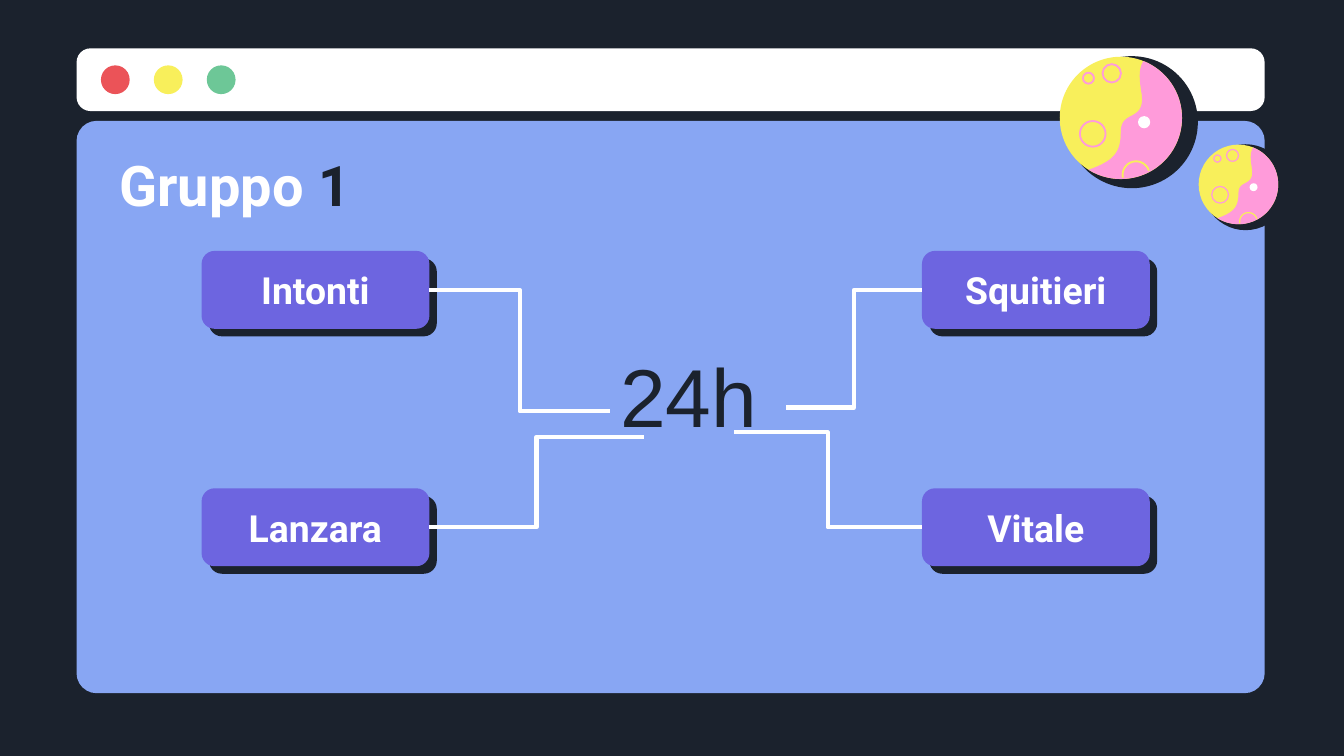
from dataclasses import dataclass
from math import cos, radians, sin

from lxml.etree import SubElement
from pptx import Presentation
from pptx.dml.color import RGBColor
from pptx.enum.shapes import MSO_CONNECTOR, MSO_SHAPE
from pptx.enum.text import MSO_ANCHOR, PP_ALIGN
from pptx.oxml.ns import qn
from pptx.util import Inches, Pt

ROUNDED = MSO_SHAPE.ROUNDED_RECTANGLE
OVAL = MSO_SHAPE.OVAL
ELBOW = MSO_CONNECTOR.ELBOW
MIDDLE = MSO_ANCHOR.MIDDLE
LEFT, CENTER = PP_ALIGN.LEFT, PP_ALIGN.CENTER

WIDTH = Inches(10)
HEIGHT = WIDTH * 9 // 16

Point = tuple[float, float]


@dataclass(frozen=True)
class Theme:
    dark: str = "1B222D"
    panel: str = "88A6F3"
    card: str = "6D65E0"
    white: str = "FFFFFF"
    red: str = "EB5358"
    yellow: str = "F8EF5B"
    green: str = "6DC797"
    pink: str = "FF9BDA"
    heading_font: str = "Roboto"
    body_font: str = "Arial"
    title_size: int = 30
    card_size: int = 20
    center_size: int = 44
    link_width: float = 2.25


@dataclass(frozen=True)
class Area:
    left: float
    top: float
    width: float
    height: float

    def emu(self) -> tuple[int, int, int, int]:
        return across(self.left), down(self.top), across(self.width), down(self.height)


@dataclass(frozen=True)
class Member:
    name: str
    column: int
    row: int
    link_end: Point


@dataclass(frozen=True)
class Planet:
    x: float
    y: float
    radius: float

    def place(self, point: Point) -> tuple[int, int]:
        size = across(self.radius)
        return across(self.x) + int(point[0] * size), down(self.y) + int(point[1] * size)


@dataclass(frozen=True)
class Disc:
    center: Point
    radius: float
    color: str
    ring: bool = False


def across(percent: float) -> int:
    return int(WIDTH * percent / 100)


def down(percent: float) -> int:
    return int(HEIGHT * percent / 100)


def rgb(color: str) -> RGBColor:
    return RGBColor.from_string(color)


def paint(shape, color: str) -> None:
    shape.shadow.inherit = False
    shape.fill.solid()
    shape.fill.fore_color.rgb = rgb(color)
    shape.line.fill.background()


def outline(shape, color: str, width: int) -> None:
    shape.shadow.inherit = False
    shape.fill.background()
    shape.line.color.rgb = rgb(color)
    shape.line.width = width


def add_panel(page, area: Area, color: str, rounding: float):
    shape = page.shapes.add_shape(ROUNDED, *area.emu())
    shape.adjustments[0] = rounding
    paint(shape, color)
    return shape


def add_circle(page, x: int, y: int, radius: int):
    return page.shapes.add_shape(OVAL, x - radius, y - radius, 2 * radius, 2 * radius)


def write(box, spans: list[tuple[str, str]], font: str, size: int, align, bold: bool) -> None:
    frame = box.text_frame
    frame.word_wrap = True
    frame.vertical_anchor = MIDDLE
    frame.margin_left = frame.margin_right = Inches(0.1)
    frame.margin_top = frame.margin_bottom = Inches(0.1)
    para = frame.paragraphs[0]
    para.alignment = align
    for text, color in spans:
        span = para.add_run()
        span.text = text
        span.font.name = font
        span.font.size = Pt(size)
        span.font.bold = bold
        span.font.color.rgb = rgb(color)


def arc(center: Point, radius: float, start: int, stop: int, steps: int = 40) -> list[Point]:
    angles = [radians(start + (stop - start) * step / steps) for step in range(steps + 1)]
    return [(center[0] + radius * cos(a), center[1] + radius * sin(a)) for a in angles]


def curve(points: list[Point], steps: int = 16) -> list[Point]:
    found = []
    for first in range(0, len(points) - 3, 3):
        a, b, c, d = points[first:first + 4]
        for step in range(1, steps + 1):
            t = step / steps
            u = 1 - t
            weights = (u ** 3, 3 * u * u * t, 3 * u * t * t, t ** 3)
            found.append(tuple(sum(w * p[axis] for w, p in zip(weights, (a, b, c, d)))
                               for axis in (0, 1)))
    return found


def add_path(page, planet: Planet, points: list[Point], close: bool):
    places = [planet.place(point) for point in points]
    builder = page.shapes.build_freeform(*places[0])
    builder.add_line_segments(places[1:], close=close)
    return builder.convert_to_shape()


def add_disc(page, planet: Planet, disc: Disc) -> None:
    size = across(planet.radius)
    shape = add_circle(page, *planet.place(disc.center), int(disc.radius * size))
    if disc.ring:
        outline(shape, disc.color, int(size * RING_WIDTH))
    else:
        paint(shape, disc.color)


def add_planet(page, planet: Planet) -> None:
    for disc in GROUND:
        add_disc(page, planet, disc)
    paint(add_path(page, planet, arc((0, 0), 1, -68, 122) + curve(SHORE), True), THEME.pink)
    rim = add_path(page, planet, arc((0.25, 0.93), 0.22, 168, 342), False)
    outline(rim, THEME.yellow, int(across(planet.radius) * RING_WIDTH))
    add_disc(page, planet, Disc((0.38, 0.07), 0.1, THEME.white))


def add_link(page, start: Point, end: Point) -> None:
    link = page.shapes.add_connector(
        ELBOW, across(start[0]), down(start[1]), across(end[0]), down(end[1]))
    link.line.color.rgb = rgb(THEME.white)
    link.line.width = Pt(THEME.link_width)
    SubElement(link._element.spPr, qn("a:effectLst"))


def add_member(page, member: Member) -> None:
    left, top = CARD_COLUMNS[member.column], CARD_ROWS[member.row]
    add_panel(page, Area(left + 0.55, top + 1, CARD_WIDTH, CARD_HEIGHT), THEME.dark, 0.167)
    card = add_panel(page, Area(left, top, CARD_WIDTH, CARD_HEIGHT), THEME.card, 0.167)
    write(card, [(member.name, THEME.white)], THEME.heading_font, THEME.card_size, CENTER, True)
    inner_side = left + CARD_WIDTH if member.column == 0 else left
    add_link(page, (inner_side, top + CARD_HEIGHT / 2), member.link_end)


THEME = Theme()
CARD_COLUMNS, CARD_ROWS = (15, 68.6), (33.2, 64.6)
CARD_WIDTH, CARD_HEIGHT = 16.95, 10.3
RING_WIDTH = 0.03
MEMBERS = [
    Member("Intonti", 0, 0, (45.4, 54.4)),
    Member("Lanzara", 0, 1, (47.9, 57.8)),
    Member("Squitieri", 1, 0, (58.5, 53.9)),
    Member("Vitale", 1, 1, (54.6, 57.2)),
]
GROUND = [
    Disc((0.18, 0.07), 1.08, THEME.dark),
    Disc((0, 0), 1, THEME.yellow),
    Disc((-0.15, -0.73), 0.15, THEME.pink, True),
    Disc((-0.53, -0.65), 0.09, THEME.pink, True),
    Disc((-0.46, 0.26), 0.21, THEME.pink, True),
]
SHORE = [(-0.53, 0.85), (-0.11, 0.7), (0, 0.57), (0, 0.22), (0, -0.15),
         (0.44, 0.09), (0.33, -0.46), (0.29, -0.7), (0.31, -0.84), (0.37, -0.93)]


def main() -> None:
    deck = Presentation()
    deck.slide_width, deck.slide_height = WIDTH, HEIGHT
    page = deck.slides.add_slide(deck.slide_layouts[6])
    page.background.fill.solid()
    page.background.fill.fore_color.rgb = rgb(THEME.dark)

    add_panel(page, Area(5.7, 16, 88.4, 75.7), THEME.panel, 0.035)
    add_panel(page, Area(5.7, 6.4, 88.4, 8.3), THEME.white, 0.223)
    for index, color in enumerate((THEME.red, THEME.yellow, THEME.green)):
        paint(add_circle(page, across(8.58 + 3.94 * index), down(10.55), across(1.07)), color)
    for planet in (Planet(83.4, 15.6, 4.55), Planet(92.15, 24.4, 2.96)):
        add_planet(page, planet)

    title = page.shapes.add_textbox(*Area(7.9, 18.8, 84.3, 11).emu())
    write(title, [("Gruppo ", THEME.white), ("1", THEME.dark)],
          THEME.heading_font, THEME.title_size, LEFT, True)
    for member in MEMBERS:
        add_member(page, member)
    center = page.shapes.add_textbox(*Area(43.8, 47.1, 14.9, CARD_HEIGHT).emu())
    write(center, [("24h", THEME.dark)], THEME.body_font, THEME.center_size, CENTER, False)
    deck.save("out.pptx")


if __name__ == "__main__":
    main()
